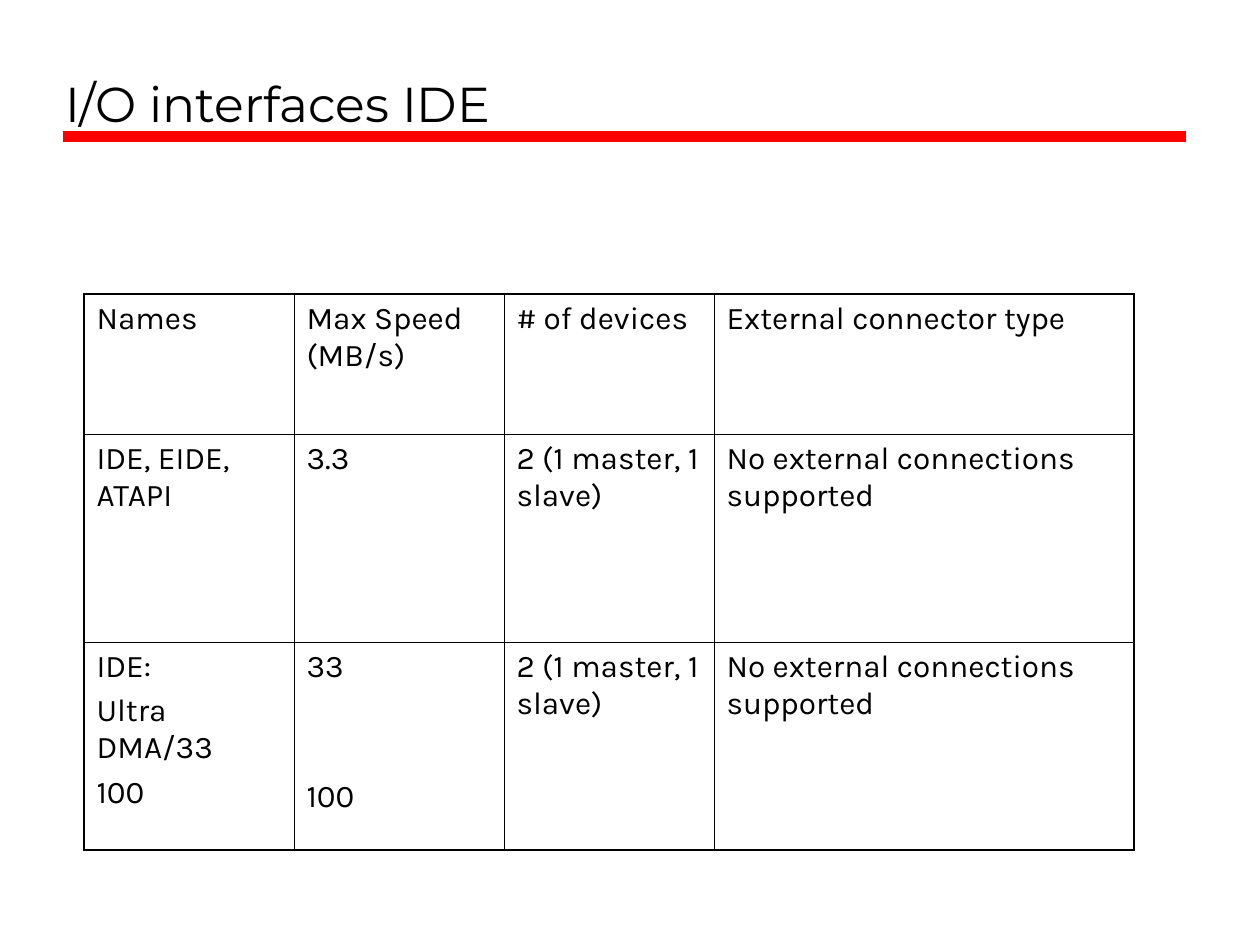
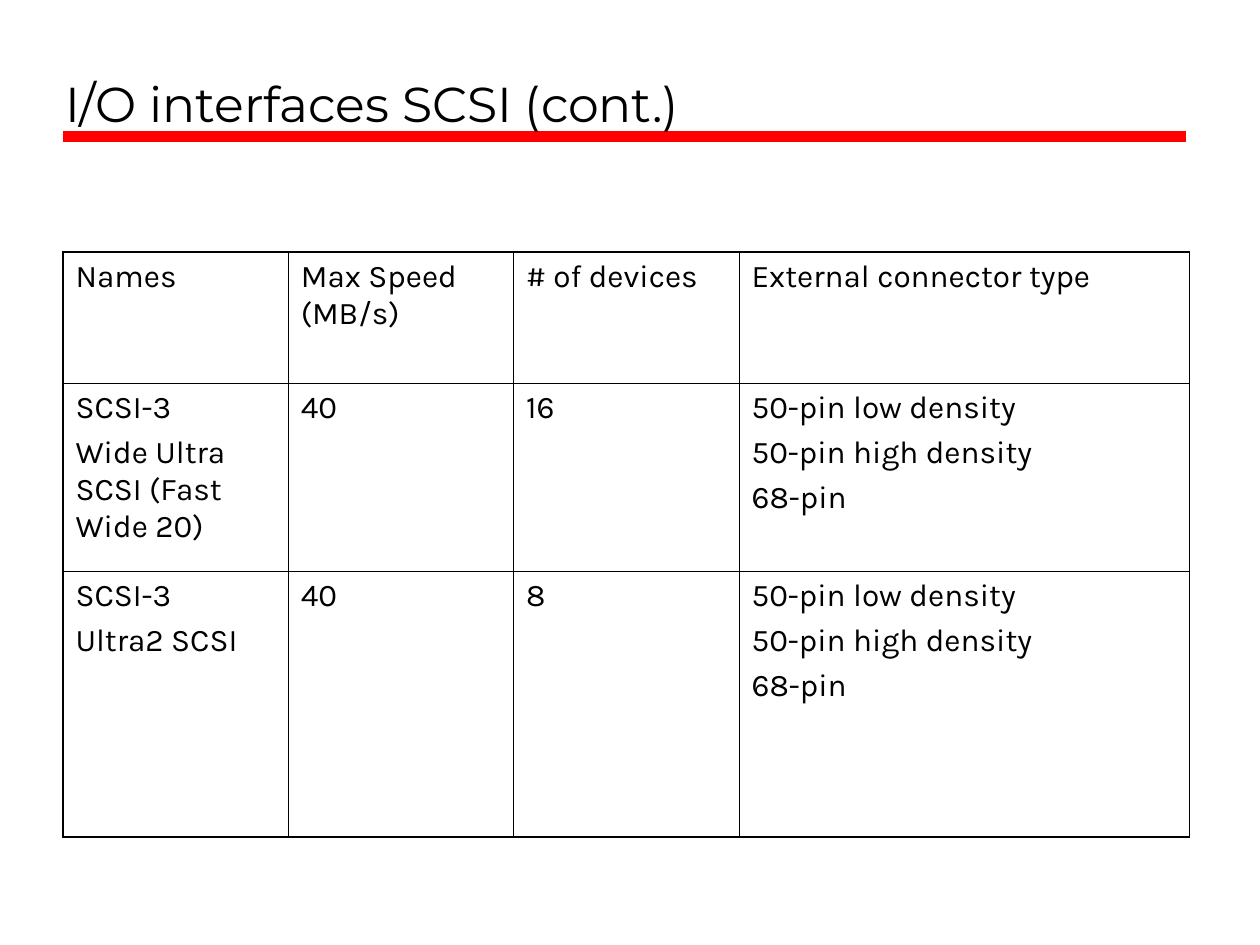
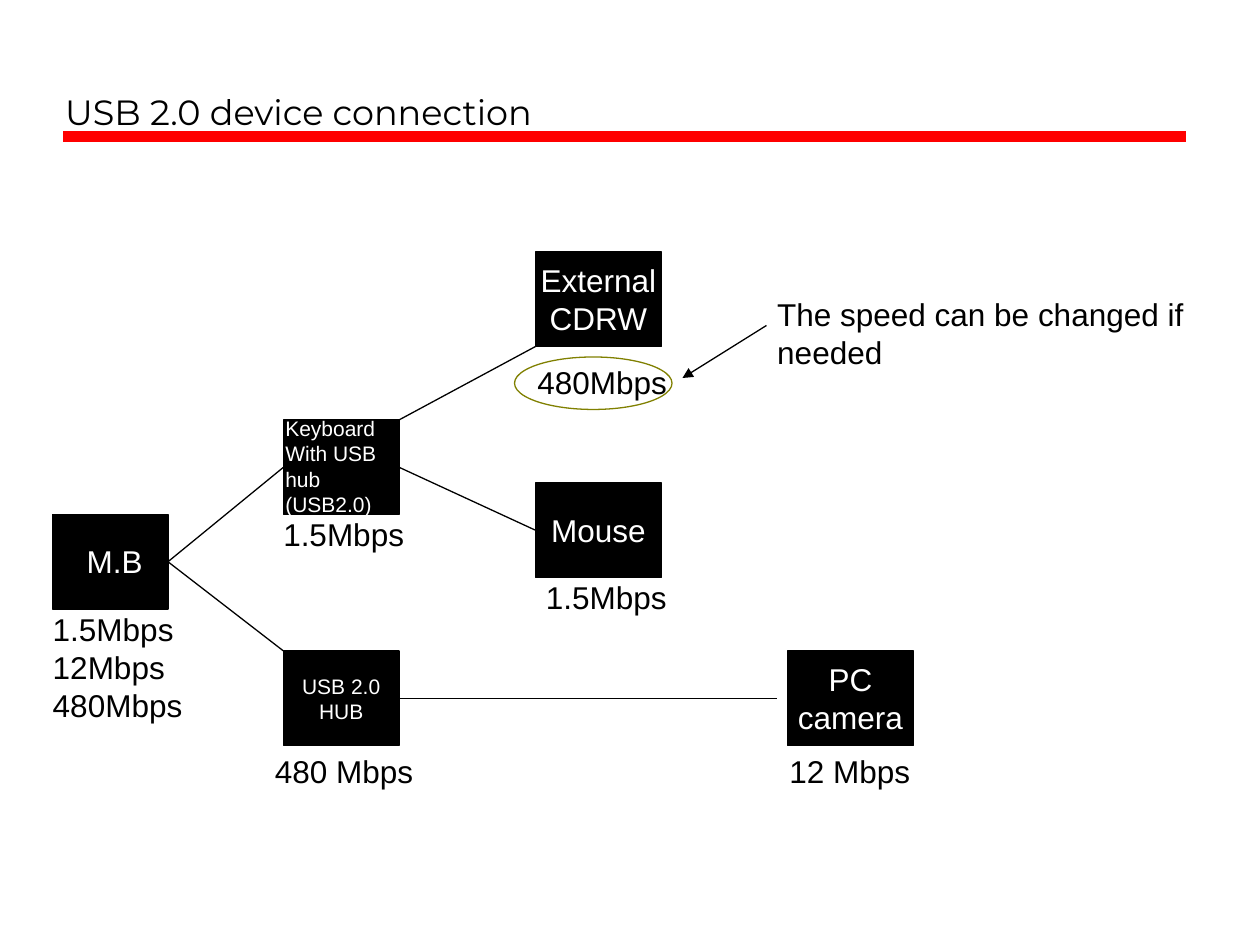
"""Build three slides on I/O interfaces: two tables and a USB 2.0 tree."""
from dataclasses import dataclass

import lxml.etree
import pptx
import pptx.dml.color
import pptx.enum.shapes
import pptx.enum.text
import pptx.oxml.ns
import pptx.util

KIND = pptx.enum.shapes.MSO_SHAPE
ALIGN = pptx.enum.text.PP_ALIGN
ANCHOR = pptx.enum.text.MSO_ANCHOR


@dataclass(frozen=True)
class Theme:
    """Colours, fonts, sizes and line widths."""
    ink: str = "000000"
    paper: str = "FFFFFF"
    band: str = "FF0000"
    ring: str = "808000"
    head: str = "Montserrat"
    grid: str = "Karla"
    text: str = "Arial"
    large: int = 28
    title: int = 20
    body: int = 18
    small: int = 12
    gap: float = 4.5
    rule: float = 6
    line: float = 0.75
    edge: float = 1.08
    inner: float = 0.45


THEME = Theme()
UNIT = 12
SIZE = (10 * UNIT, 7.5 * UNIT)
TITLE = (5.25, 2, 107.6, 11)
RULE = ((6, 13), (113, 13))

HEADS = ["Names", "Max Speed (MB/s)", "# of devices", "External connector type"]
SHARES = (1, 1, 1, 2)
PINS = ["50-pin low density", "50-pin high density", "68-pin"]
MASTER = "2 (1 master, 1 slave)"
NONE = "No external connections supported"

TABLES = [
    {"title": "I/O interfaces IDE", "at": (8, 28), "col": 20,
     "rows": (13.33, 19.8, 19.8), "gaps": {(2, 1, 1): 53.5},
     "cells": [HEADS,
               ["IDE, EIDE, ATAPI", "3.3", MASTER, NONE],
               [["IDE:", "Ultra DMA/33", "100"], ["33", "100"], MASTER, NONE]]},
    {"title": "I/O interfaces SCSI (cont.)", "at": (6, 24), "col": 21.46,
     "rows": (12.5, 17.9, 25.3), "gaps": {},
     "cells": [HEADS,
               [["SCSI-3", "Wide Ultra SCSI (Fast Wide 20)"], "40", "16", PINS],
               [["SCSI-3", "Ultra2 SCSI"], "40", "8", PINS]]},
]

USB = "USB 2.0 device connection"
TALL = 9
BOXES = {
    "board": (5, 49, 11, [], THEME.body),
    "keys": (27, 40, 11, [], THEME.small),
    "hub": (27, 62, 11, ["USB 2.0", "HUB"], THEME.small),
    "disc": (51, 24, 12, ["External", "CDRW"], THEME.body),
    "mouse": (51, 46, 12, ["Mouse"], THEME.body),
    "cam": (75, 62, 12, ["PC", "camera"], THEME.body),
}
LINKS = [
    (("board", 3), ("keys", 1)),
    (("board", 3), (27, 62)),
    ((38, 40), (51, 33)),
    (("keys", 3), ("mouse", 1)),
    (("hub", 3), (74, 66.5)),
]
NOTES = [
    ((25.8, 48.5, 13.9, 4.8), ["1.5Mbps"]),
    ((3.84, 57.5, 14.8, 12), ["1.5Mbps", "12Mbps", "480Mbps"]),
    ((25, 71, 15.6, 4.8), ["480 Mbps"]),
    ((50, 34, 14.8, 4.8), ["480Mbps"]),
    ((72.84, 27.5, 41.9, 8.4), ["The speed can be changed if", "needed"]),
    ((50.8, 54.5, 13.9, 4.8), ["1.5Mbps"]),
    ((74, 71, 13.9, 4.8), ["12 Mbps"]),
]
BOARD = ((7.08, 51, 7.7, 4.8), ["M.B"])
KEYS = ((26, 39, 12, 10.8), ["Keyboard", "With USB hub", "(USB2.0)"])
RING = (49, 34, 15, 5)
ARROW = ((73, 31), (65, 36))


def inch(*vals):
    """Turn grid units into lengths."""
    return [pptx.util.Inches(val / UNIT) for val in vals]


def rgb(hue):
    """Return a colour object."""
    return pptx.dml.color.RGBColor.from_string(hue)


def node(up, tag, **attrs):
    """Add a drawing element below another."""
    return lxml.etree.SubElement(up, pptx.oxml.ns.qn(tag), attrs)


def write(frame, lines, font, size, hue, align=ALIGN.LEFT, gaps=()):
    """Fill a text frame, one paragraph a line."""
    for num, line in enumerate(lines):
        para = frame.add_paragraph() if num else frame.paragraphs[0]
        para.text = line
        para.alignment = align
        para.font.name = font
        para.font.size = pptx.util.Pt(size)
        para.font.color.rgb = rgb(hue)
        if num and gaps:
            para.space_before = pptx.util.Pt(gaps[num])


def label(slide, at, lines, size=THEME.body, hue=THEME.ink, wrap=False):
    """Add plain text in a box."""
    frame = slide.shapes.add_textbox(*inch(*at)).text_frame
    frame.word_wrap = wrap
    write(frame, lines, THEME.text, size, hue)


def shape(slide, kind, at, hue, fill=None):
    """Add an outlined shape, filled if a fill is given."""
    item = slide.shapes.add_shape(kind, *inch(*at))
    item.shadow.inherit = False
    item.line.color.rgb = rgb(hue)
    item.line.width = pptx.util.Pt(THEME.line)
    if fill:
        item.fill.solid()
        item.fill.fore_color.rgb = rgb(fill)
    else:
        item.fill.background()
    return item


def link(slide, start, end, hue=THEME.ink, width=THEME.line):
    """Add a straight line between two points."""
    wire = slide.shapes.add_connector(
        pptx.enum.shapes.MSO_CONNECTOR.STRAIGHT, *inch(*start, *end))
    wire.line.color.rgb = rgb(hue)
    wire.line.width = pptx.util.Pt(width)
    node(wire._element.spPr, "a:effectLst")
    return wire


def begin(deck, title, size):
    """Add a slide with its title and red rule."""
    slide = deck.slides.add_slide(deck.slide_layouts[6])
    link(slide, *RULE, THEME.band, THEME.rule)
    frame = slide.shapes.add_textbox(*inch(*TITLE)).text_frame
    frame.word_wrap = True
    frame.vertical_anchor = ANCHOR.BOTTOM
    frame.margin_left = pptx.util.Inches(0.08)
    frame.margin_bottom = pptx.util.Inches(0.03)
    write(frame, [title], THEME.head, size, THEME.ink)
    return slide


def border(cell, outer):
    """Draw the four sides of a cell, thick where it meets the edge."""
    props = cell._tc.get_or_add_tcPr()
    for side, thick in zip("LRTB", outer):
        width = pptx.util.Pt(THEME.edge if thick else THEME.inner)
        line = node(props, f"a:ln{side}", w=str(width))
        node(node(line, "a:solidFill"), "a:srgbClr", val=THEME.ink)


def chart(deck, data):
    """Add a slide that holds one table."""
    slide = begin(deck, data["title"], THEME.large)
    rows, cells = data["rows"], data["cells"]
    wide = data["col"] * sum(SHARES)
    table = slide.shapes.add_table(
        len(rows), len(SHARES), *inch(*data["at"], wide, sum(rows))).table
    table.first_row = table.horz_banding = False
    for col, share in zip(table.columns, SHARES):
        col.width, = inch(data["col"] * share)
    for y, tall in enumerate(rows):
        table.rows[y].height, = inch(tall)
        for x, lines in enumerate(cells[y]):
            cell = table.cell(y, x)
            border(cell, (x == 0, x == len(SHARES) - 1,
                          y == 0, y == len(rows) - 1))
            cell.fill.background()
            lines = [lines] if isinstance(lines, str) else lines
            gaps = [data["gaps"].get((y, x, num), THEME.gap)
                    for num in range(len(lines))]
            write(cell.text_frame, lines, THEME.grid, THEME.body, THEME.ink,
                  gaps=gaps)


def tree(deck):
    """Add the slide with the device tree."""
    slide = begin(deck, USB, THEME.title)
    boxes = {}
    for name, (left, top, wide, lines, size) in BOXES.items():
        box = shape(slide, KIND.RECTANGLE, (left, top, wide, TALL),
                    THEME.ink, THEME.ink)
        box.text_frame.word_wrap = False
        box.text_frame.vertical_anchor = ANCHOR.MIDDLE
        write(box.text_frame, lines, THEME.text, size, THEME.paper, ALIGN.CENTER)
        boxes[name] = box
    for ends in LINKS:
        free = [(0, 0) if end[0] in boxes else end for end in ends]
        wire = link(slide, *free)
        for end, join in zip(ends, (wire.begin_connect, wire.end_connect)):
            if end[0] in boxes:
                join(boxes[end[0]], end[1])
    label(slide, *KEYS, THEME.small, THEME.paper, True)
    label(slide, *BOARD, hue=THEME.paper)
    for note in NOTES:
        label(slide, *note)
    shape(slide, KIND.OVAL, RING, THEME.ring)
    arrow = link(slide, *ARROW)
    node(arrow.line._get_or_add_ln(), "a:tailEnd", type="triangle")


def main():
    """Build and save the deck."""
    deck = pptx.Presentation()
    deck.slide_width, deck.slide_height = inch(*SIZE)
    for data in TABLES:
        chart(deck, data)
    tree(deck)
    deck.save("out.pptx")


if __name__ == "__main__":
    main()
